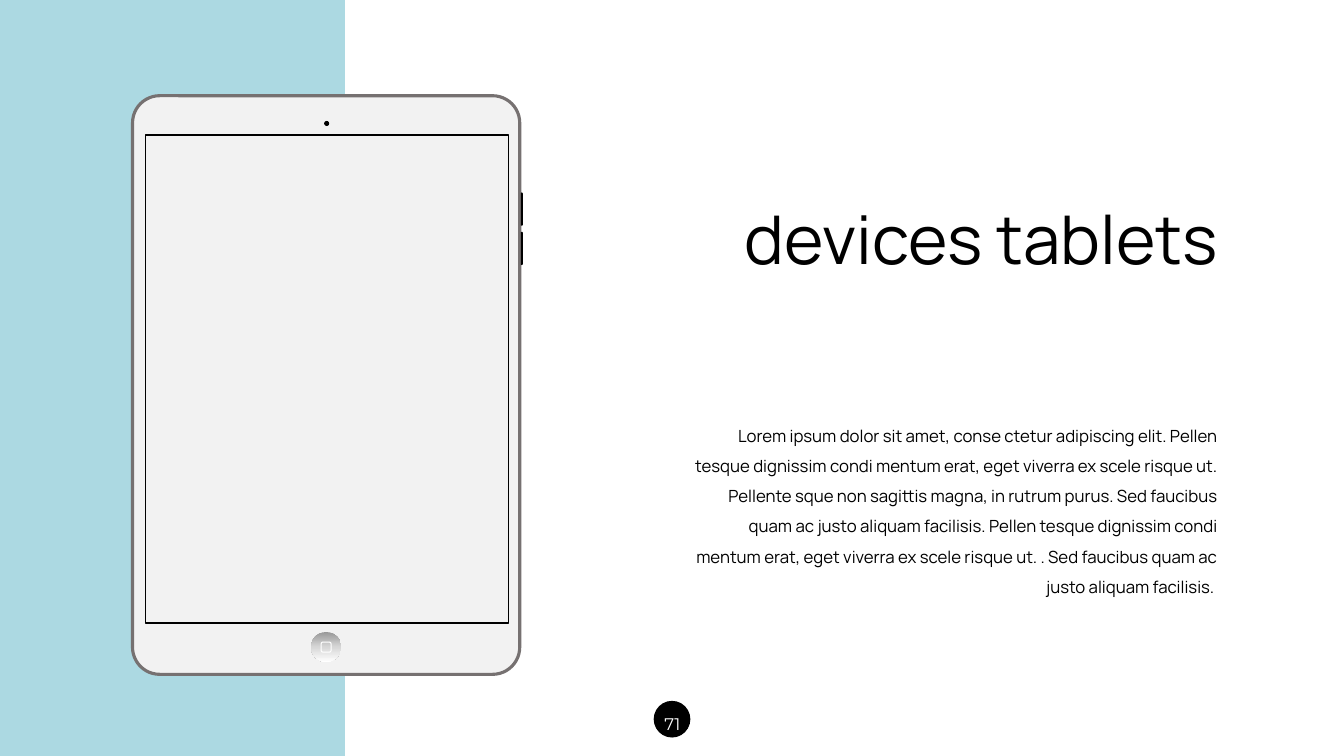
from copy import deepcopy

from pptx import Presentation
from pptx.dml.color import RGBColor
from pptx.enum.shapes import MSO_SHAPE
from pptx.enum.text import MSO_ANCHOR, MSO_AUTO_SIZE, PP_ALIGN
from pptx.oxml import parse_xml
from pptx.oxml.ns import nsdecls, qn
from pptx.util import Inches, Pt

RECT, ROUND, OVAL = MSO_SHAPE.RECTANGLE, MSO_SHAPE.ROUNDED_RECTANGLE, MSO_SHAPE.OVAL
CENTER, RIGHT = PP_ALIGN.CENTER, PP_ALIGN.RIGHT
TOP, NO_FIT = MSO_ANCHOR.TOP, MSO_AUTO_SIZE.NONE

COLORS = {
    "stripe": "ACD9E2", "case": "F2F2F2", "rim": "767171", "ink": "000000", "paper": "FFFFFF",
    "home_top": "979797", "home_mid": "D7D7D7",
}
SLIDE = (0, 0, Inches(13.33), Inches(7.5))
SLIDE_GRID = (1333, 750)
TABLET_GRID = (384, 574)

BODY = (
    "Lorem ipsum dolor sit amet, conse ctetur adipiscing elit. Pellen tesque dignissim "
    "condi mentum erat, eget viverra ex scele risque ut. Pellente sque non sagittis magna, "
    "in rutrum purus. Sed faucibus quam ac justo aliquam facilisis. Pellen tesque dignissim "
    "condi mentum erat, eget viverra ex scele risque ut. . Sed faucibus quam ac justo "
    "aliquam facilisis. "
)


def rgb(name):
    """Return the named palette colour."""
    return RGBColor.from_string(COLORS[name])


def cells(box, grid, x, y, w, h):
    """Return the area that spans w by h grid cells of a box, starting at cell x, y."""
    left, top, width, height = box
    cw, ch = width / grid[0], height / grid[1]
    return int(left + x * cw), int(top + y * ch), int(w * cw), int(h * ch)


def add_shape(shapes, kind, box, fill=None, line=None, weight=1, radius=None):
    """Add a flat preset shape with optional fill, outline and corner radius."""
    s = shapes.add_shape(kind, *box)
    s.shadow.inherit = False
    if fill:
        s.fill.solid()
        s.fill.fore_color.rgb = rgb(fill)
    else:
        s.fill.background()
    if line:
        s.line.color.rgb = rgb(line)
        s.line.width = Pt(weight)
    else:
        s.line.fill.background()
    if radius is not None:
        s.adjustments[0] = radius
    return s


def write(s, text, box, size, font="Manrope", color="ink", align=RIGHT, spacing=1.0):
    """Place a text holder and fill it with one formatted paragraph."""
    s.left, s.top, s.width, s.height = box
    tf = s.text_frame
    tf.word_wrap, tf.auto_size, tf.vertical_anchor = True, NO_FIT, TOP
    p = tf.paragraphs[0]
    pPr = p._p.get_or_add_pPr()
    pPr.set("marL", "0")
    pPr.set("indent", "0")
    pPr.append(parse_xml(f"<a:buNone {nsdecls('a')}/>"))
    p.alignment, p.line_spacing, p.space_before = align, spacing, Pt(0)
    r = p.add_run()
    r.text = text
    r.font.name, r.font.size, r.font.color.rgb = font, Pt(size), rgb(color)


def shade(s, *names):
    """Fill a shape with evenly spaced gradient stops from top to bottom."""
    s.fill.gradient()
    s.fill.gradient_angle = 270
    stops = s._element.spPr.find(qn("a:gradFill")).find(qn("a:gsLst"))
    while len(stops) < len(names):
        stops.append(deepcopy(stops[-1]))
    for i, (stop, name) in enumerate(zip(s.fill.gradient_stops, names)):
        stop.position = i / (len(names) - 1)
        stop.color.rgb = rgb(name)


def draw_tablet(slide, box):
    """Draw the tablet with its camera, home button, side buttons and screen."""
    shapes = slide.shapes.add_group_shape().shapes

    def part(kind, x, y, w, h, **style):
        """Add one part at its place on the tablet grid."""
        return add_shape(shapes, kind, cells(box, TABLET_GRID, x, y, w, h), **style)

    part(ROUND, 0, 0, *TABLET_GRID, fill="case", line="rim", weight=2.25, radius=0.07)
    part(OVAL, 190, 25, 5, 5, fill="ink")
    shade(part(OVAL, 177, 532, 30, 30), "home_top", "home_mid", "paper")
    part(ROUND, 187, 542, 10, 10, line="paper", weight=0.75, radius=0.2)
    for i in range(2):
        part(ROUND, 385, 96 + 39 * i, 2, 33, fill="ink", radius=0.5)
    part(RECT, 13, 39, 360, 484, line="ink")


def draw_text(slide, box):
    """Fill the title and body placeholders in the right-hand column."""
    grid = (593, 408)
    title, body = slide.placeholders
    write(title, "devices tablets", cells(box, grid, 0, 0, 593, 91), 48)
    write(body, BODY, cells(box, grid, 42, 216, 551, 192), 12, spacing=1.5)


def draw_page_number(slide, box):
    """Draw the page number on its round badge."""
    grid = (50, 38)
    add_shape(slide.shapes, OVAL, cells(box, grid, 7, 3, 35, 35), fill="ink", line="ink")
    s = slide.shapes.add_textbox(*box)
    write(s, "71", cells(box, grid, 0, 0, 50, 37), 12, font="Montserrat",
          color="paper", align=CENTER, spacing=1.5)


def main():
    """Build and save the slide."""
    prs = Presentation()
    prs.slide_width, prs.slide_height = SLIDE[2:]
    slide = prs.slides.add_slide(prs.slide_layouts[1])
    add_shape(slide.shapes, RECT, cells(SLIDE, SLIDE_GRID, 0, 0, 342, 750), fill="stripe")
    draw_tablet(slide, cells(SLIDE, SLIDE_GRID, 131.5, 95, 384, 574))
    draw_page_number(slide, cells(SLIDE, SLIDE_GRID, 642, 693, 50, 38))
    draw_text(slide, cells(SLIDE, SLIDE_GRID, 625, 191, 593, 408))
    prs.save("out.pptx")


if __name__ == "__main__":
    main()
